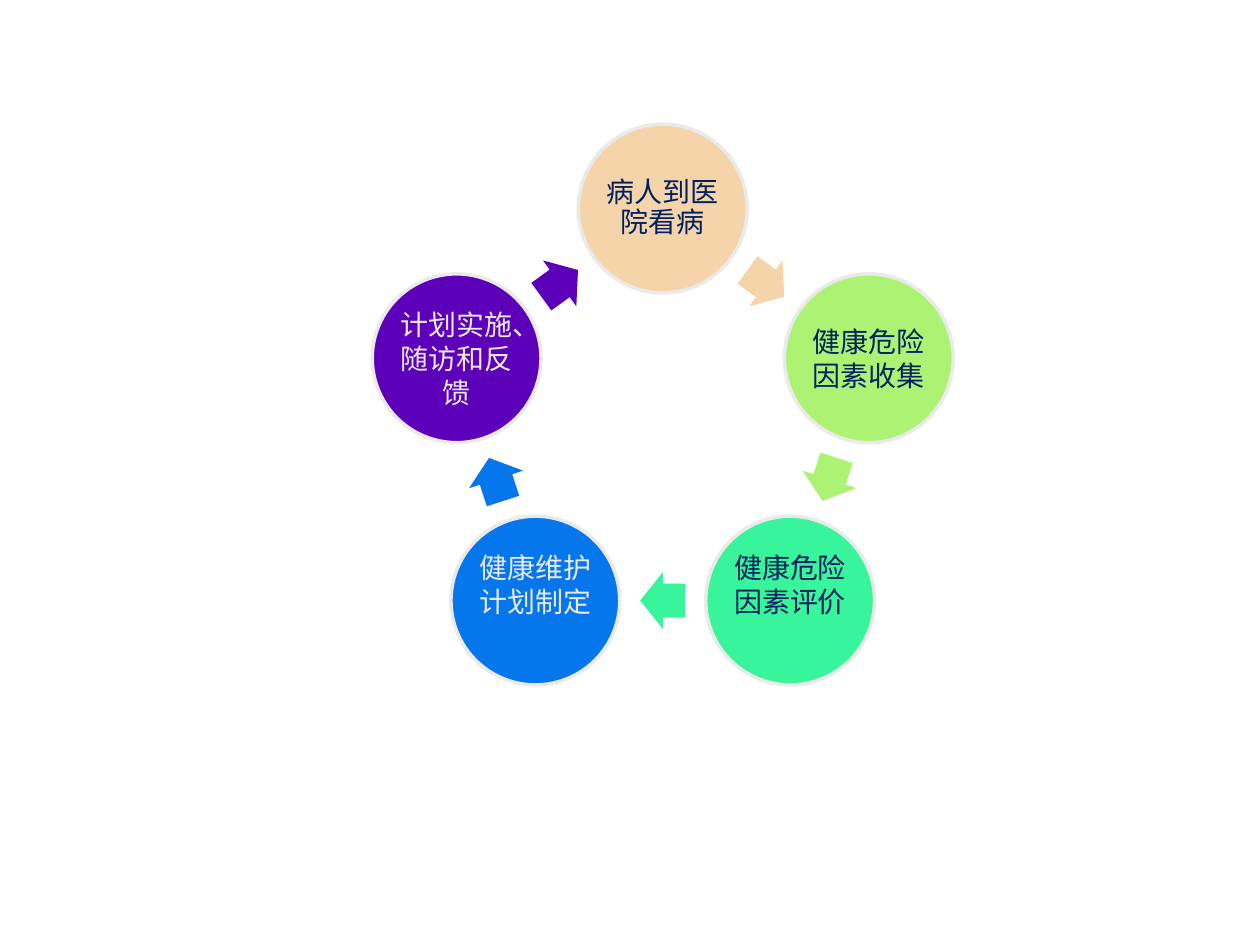
from dataclasses import dataclass
from math import cos, radians, sin

from lxml.etree import SubElement
from pptx import Presentation
from pptx.dml.color import RGBColor
from pptx.enum.shapes import MSO_SHAPE
from pptx.enum.text import MSO_ANCHOR, PP_ALIGN
from pptx.oxml.ns import qn
from pptx.shapes.autoshape import Shape
from pptx.slide import Slide
from pptx.util import Inches, Pt

SLIDE_WIDTH, SLIDE_HEIGHT = 10, 7.5
CENTER_X, CENTER_Y = SLIDE_WIDTH * 0.526, SLIDE_HEIGHT * 0.45
RING_RADIUS = 1.72
STEP_DIAMETER = 1.34
ARROW_LENGTH, ARROW_WIDTH = 0.36, 0.45
FONT = "Noto Sans CJK SC"
NAVY, PALE = "002060", "EAEAEA"


@dataclass
class Step:
    label: str
    fill: str
    ink: str
    line_spacing: float = 1.0
    lift: float = 0.0


STEPS = [
    Step("病人到医院看病", "F5D4AA", NAVY, line_spacing=0.9),
    Step("健康危险因素收集", "ADF373", NAVY),
    Step("健康危险因素评价", "38F49B", NAVY, lift=0.13),
    Step("健康维护计划制定", "0676EC", PALE, lift=0.13),
    Step("计划实施、随访和反馈", "5C00B9", PALE),
]
TURN = 360 / len(STEPS)


def color(value: str) -> RGBColor:
    return RGBColor.from_string(value)


def ring_point(angle: float, radius: float) -> tuple[float, float]:
    return (CENTER_X + radius * sin(radians(angle)),
            CENTER_Y - radius * cos(radians(angle)))


def add_centered(slide: Slide, preset: MSO_SHAPE, center: tuple[float, float],
                 width: float, height: float, fill: str) -> Shape:
    x, y = center
    shape = slide.shapes.add_shape(preset, Inches(x - width / 2), Inches(y - height / 2),
                                   Inches(width), Inches(height))
    shape.shadow.inherit = False
    shape.fill.solid()
    shape.fill.fore_color.rgb = color(fill)
    shape.line.fill.background()
    return shape


def write_text(shape: Shape, text: str, *, ink: str, size: float = 16,
               line_spacing: float = 1.0, inset: float = 0.02, lift: float = 0.0) -> None:
    frame = shape.text_frame
    frame.word_wrap = True
    frame.vertical_anchor = MSO_ANCHOR.MIDDLE
    frame.margin_left = frame.margin_right = frame.margin_top = Inches(inset)
    frame.margin_bottom = Inches(inset + 2 * lift)
    paragraph = frame.paragraphs[0]
    paragraph.alignment = PP_ALIGN.CENTER
    paragraph.line_spacing = line_spacing
    run = paragraph.add_run()
    run.text = text
    run.font.size = Pt(size)
    run.font.name = FONT
    run.font.color.rgb = color(ink)
    SubElement(run.font._element, qn("a:ea")).set("typeface", FONT)


def add_step(slide: Slide, step: Step, angle: float) -> None:
    circle = add_centered(slide, MSO_SHAPE.OVAL, ring_point(angle, RING_RADIUS),
                          STEP_DIAMETER, STEP_DIAMETER, step.fill)
    circle.line.color.rgb = color(PALE)
    circle.line.width = Pt(2)
    write_text(circle, step.label, ink=step.ink,
               line_spacing=step.line_spacing, lift=step.lift)


def add_arrow(slide: Slide, step: Step, angle: float) -> None:
    chord_distance = RING_RADIUS * cos(radians(TURN / 2))
    arrow = add_centered(slide, MSO_SHAPE.RIGHT_ARROW, ring_point(angle, chord_distance),
                         ARROW_LENGTH, ARROW_WIDTH, step.fill)
    arrow.adjustments[0] = 0.6
    arrow.adjustments[1] = 0.5
    arrow.rotation = angle


def main() -> None:
    presentation = Presentation()
    presentation.slide_width = Inches(SLIDE_WIDTH)
    presentation.slide_height = Inches(SLIDE_HEIGHT)
    slide = presentation.slides.add_slide(presentation.slide_layouts[6])
    for position, step in enumerate(STEPS):
        add_step(slide, step, position * TURN)
        add_arrow(slide, step, (position + 0.5) * TURN)
    presentation.save("out.pptx")


if __name__ == "__main__":
    main()
